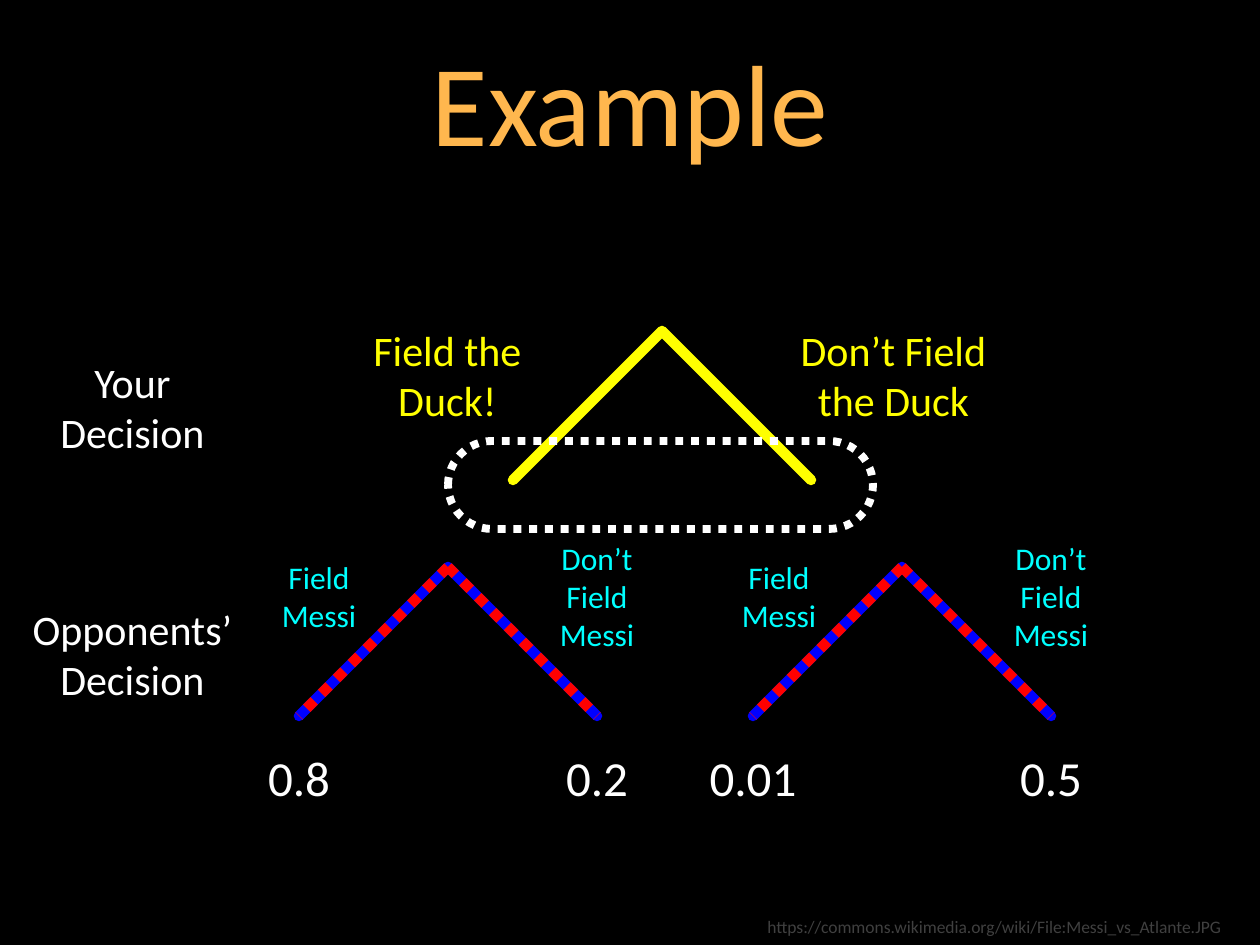
import math

import pptx
import pptx.dml.color
import pptx.enum.dml
import pptx.enum.shapes
import pptx.enum.text
import pptx.oxml.ns
import pptx.util
from lxml import etree

RGBColor = pptx.dml.color.RGBColor
BLACK = RGBColor(0x00, 0x00, 0x00)
WHITE = RGBColor(0xFF, 0xFF, 0xFF)
ORANGE = RGBColor(0xFF, 0xB7, 0x4E)
YELLOW = RGBColor(0xFF, 0xFF, 0x00)
CYAN = RGBColor(0x00, 0xFF, 0xFF)
BLUE = RGBColor(0x00, 0x00, 0xFF)
RED = RGBColor(0xFF, 0x00, 0x00)
GREY = RGBColor(0x40, 0x40, 0x40)

FONT = "Calibri"
SCALE = 914400 / 126  # EMU in one px
SHAPE = pptx.enum.shapes.MSO_SHAPE
DOTS = pptx.enum.dml.MSO_LINE.ROUND_DOT
ALIGN = pptx.enum.text.PP_ALIGN
ANCHOR = pptx.enum.text.MSO_ANCHOR

HALF_TREE = 149  # height of a tree, and half of its width


def px(*lengths):
    return [pptx.util.Emu(round(length * SCALE)) for length in lengths]


def write(frame, lines, size, color, align=ALIGN.CENTER, anchor=ANCHOR.TOP):
    """One paragraph for each line; a vertical tab is a line break."""
    frame.word_wrap = True
    frame.auto_size = pptx.enum.text.MSO_AUTO_SIZE.NONE
    frame.vertical_anchor = anchor
    for number, line in enumerate(lines):
        paragraph = frame.add_paragraph() if number else frame.paragraphs[0]
        paragraph.alignment = align
        for part_number, part in enumerate(line.split("\v")):
            if part_number:
                paragraph.add_line_break()
            run = paragraph.add_run()
            run.text = part
            run.font.name = FONT
            run.font.size = pptx.util.Pt(size)
            run.font.color.rgb = color


def add_label(slide, box, lines, size, color, **layout):
    label = slide.shapes.add_textbox(*px(*box))
    write(label.text_frame, lines, size, color, **layout)


def add_outline(slide, kind, box, color, width):
    outline = slide.shapes.add_shape(kind, *px(*box))
    outline.shadow.inherit = False
    outline.fill.background()
    outline.line.color.rgb = color
    outline.line.width = pptx.util.Pt(width)
    return outline


def add_branches(slide, left, top, color):
    """A half frame without thickness, turned so that its corner points up."""
    side = HALF_TREE * math.sqrt(2)
    box = (left + HALF_TREE - side / 2, top + HALF_TREE - side / 2, side, side)
    branches = add_outline(slide, SHAPE.HALF_FRAME, box, color, 6)
    branches.adjustments[0] = 0
    branches.adjustments[1] = 0
    branches.rotation = 45


def add_title(slide, box):
    title = slide.shapes.title
    title.left, title.top, title.width, title.height = px(*box)
    write(title.text_frame, ["Example"], 66, ORANGE, anchor=ANCHOR.MIDDLE)


def add_your_tree(slide, left, top):
    add_branches(slide, left, top, YELLOW)
    add_label(slide, (left - 190, top - 13, 249, 115),
              ["Field the", "Duck!"], 24, YELLOW)
    add_label(slide, (left + 256, top - 13, 249, 115),
              ["Don’t Field the Duck"], 24, YELLOW)


def add_opponent_tree(slide, left, top, field_center, values):
    add_branches(slide, left, top, BLUE)
    peak = left + HALF_TREE
    leaves = (left, left + 2 * HALF_TREE)

    # Red dots over the blue branches
    for leaf in reversed(leaves):
        dots = slide.shapes.add_connector(
            pptx.enum.shapes.MSO_CONNECTOR.STRAIGHT,
            *px(peak, top, leaf, top + HALF_TREE))
        dots.line.color.rgb = RED
        dots.line.width = pptx.util.Pt(6)
        dots.line.dash_style = DOTS
        etree.SubElement(dots.element.spPr, pptx.oxml.ns.qn("a:effectLst"))

    # Choices beside the branches
    add_label(slide, (left + field_center - 74, top - 15, 148, 89),
              ["Field", "Messi"], 18, CYAN)
    add_label(slide, (leaves[1] - 69, top - 34, 138, 127),
              ["Don’t", "Field", "Messi"], 18, CYAN)

    # Values under the leaves
    for leaf, value in zip(leaves, values):
        add_label(slide, (leaf - 62, top + 174, 124, 72),
                  [value], 28, WHITE, anchor=ANCHOR.MIDDLE)


def add_decision_names(slide, left, width):
    for top, name in ((349, "Your Decision"), (596, "Opponents’\vDecision")):
        add_label(slide, (left, top, width, 115),
                  [name], 24, WHITE, anchor=ANCHOR.MIDDLE)


def add_information_set(slide, box):
    ring = add_outline(slide, SHAPE.ROUNDED_RECTANGLE, box, WHITE, 4.5)
    ring.adjustments[0] = 0.5
    ring.line.dash_style = DOTS


def main():
    deck = pptx.Presentation()
    deck.slide_width, deck.slide_height = px(1260, 945)
    slide = deck.slides.add_slide(deck.slide_layouts[5])
    slide.background.fill.solid()
    slide.background.fill.fore_color.rgb = BLACK

    add_title(slide, (0, 24, 1260, 152))
    add_label(slide, (755, 910, 505, 34),
              ["https://commons.wikimedia.org/wiki/File:Messi_vs_Atlante.JPG"],
              10, GREY, align=ALIGN.LEFT)
    add_your_tree(slide, 513, 331)
    add_opponent_tree(slide, 299, 567, 20, ("0.8", "0.2"))
    add_opponent_tree(slide, 753, 567, 26, ("0.01", "0.5"))
    add_decision_names(slide, 8, 249)
    add_information_set(slide, (448, 441, 425, 88))

    deck.save("out.pptx")


if __name__ == "__main__":
    main()
